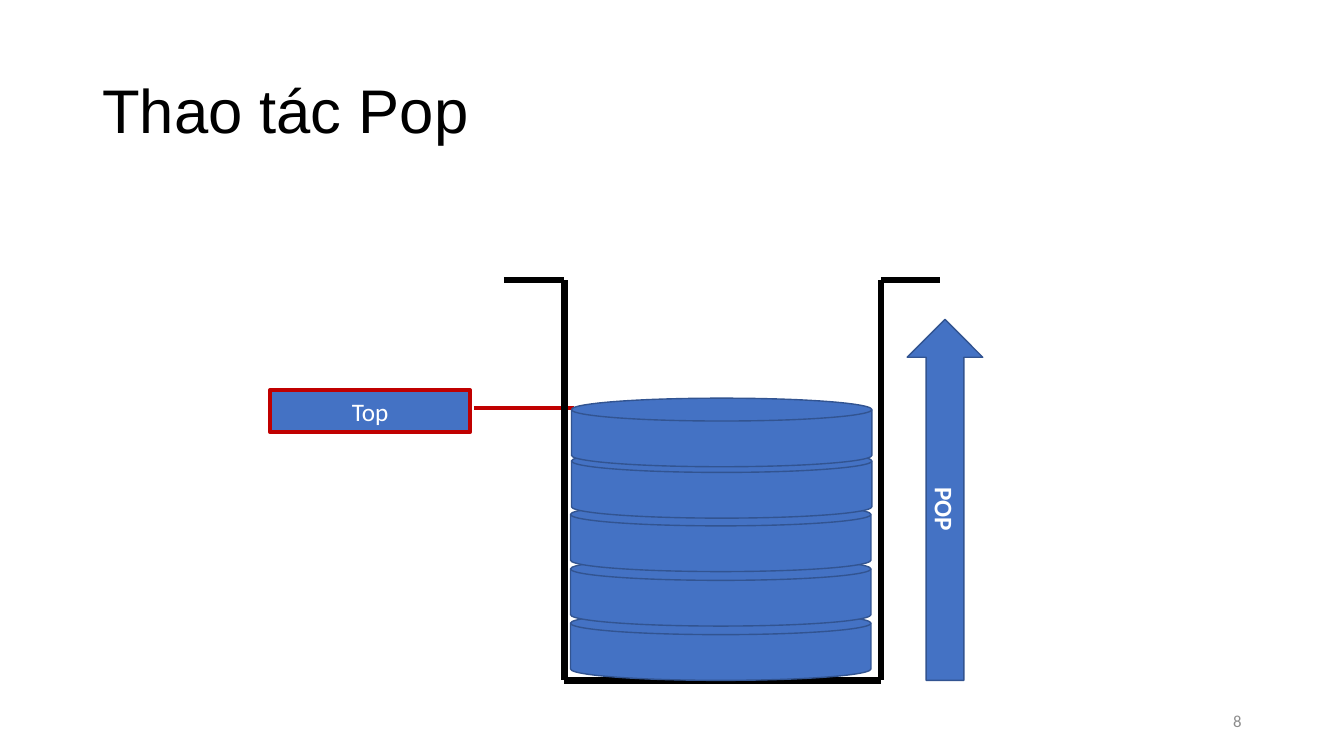
from dataclasses import dataclass

from lxml.etree import SubElement
from pptx import Presentation
from pptx.dml.color import RGBColor
from pptx.enum.shapes import MSO_CONNECTOR as Connector, MSO_SHAPE as Preset
from pptx.enum.text import MSO_ANCHOR as Anchor, PP_ALIGN as Align
from pptx.oxml.ns import qn
from pptx.shapes.autoshape import Shape
from pptx.shapes.group import GroupShape
from pptx.slide import Slide
from pptx.util import Pt


@dataclass(frozen=True)
class Theme:
    ink: str = "000000"
    blue: str = "4472C4"
    outline: str = "325491"
    red: str = "C00000"
    white: str = "FFFFFF"
    grey: str = "8C8C8C"
    heading_font: str = "Arial"
    body_font: str = "Calibri"
    heading_size: float = 44
    label_size: float = 18
    number_size: float = 12
    outline_width: float = 1
    pointer_width: float = 3
    wall_width: float = 4.5


@dataclass(frozen=True)
class Box:
    left: float
    top: float
    width: float
    height: float

    def lengths(self) -> tuple[Pt, ...]:
        return Pt(self.left), Pt(self.top), Pt(self.width), Pt(self.height)


@dataclass(frozen=True)
class Point:
    x: float
    y: float


THEME = Theme()
DISK_WIDTH, DISK_HEIGHT = 214.6, 49
DISKS = [
    Box(left, top, DISK_WIDTH, DISK_HEIGHT)
    for left, top in [
        (407.5, 437),
        (407.5, 398.2),
        (407.5, 359.3),
        (408.2, 321.1),
        (408.2, 284.4),
    ]
]
RIM, FLOOR = 200.2, 486
LEFT_WALL, RIGHT_WALL = 403.2, 629.2
CONTAINER = [
    Point(360, RIM),
    Point(LEFT_WALL, RIM),
    Point(LEFT_WALL, FLOOR),
    Point(RIGHT_WALL, FLOOR),
    Point(RIGHT_WALL, RIM),
    Point(671.8, RIM),
]


def write(shape: Shape, text: str, *, size: float, color: str,
          font: str = THEME.body_font, bold: bool = False,
          align: Align = Align.CENTER, spacing: float = 1.0) -> None:
    frame = shape.text_frame
    frame.word_wrap = True
    frame.vertical_anchor = Anchor.MIDDLE
    paragraph = frame.paragraphs[0]
    paragraph.alignment = align
    paragraph.line_spacing = spacing
    run = paragraph.add_run()
    run.text = text
    run.font.name = font
    run.font.size = Pt(size)
    run.font.bold = bold
    run.font.color.rgb = RGBColor.from_string(color)


def draw_shape(slide: Slide, preset: Preset, box: Box,
               line: str = THEME.outline,
               width: float = THEME.outline_width) -> Shape:
    shape = slide.shapes.add_shape(preset, *box.lengths())
    shape.shadow.inherit = False
    shape.fill.solid()
    shape.fill.fore_color.rgb = RGBColor.from_string(THEME.blue)
    shape.line.color.rgb = RGBColor.from_string(line)
    shape.line.width = Pt(width)
    return shape


def draw_wall(container: GroupShape, start: Point, end: Point) -> None:
    wall = container.shapes.add_connector(
        Connector.STRAIGHT, Pt(start.x), Pt(start.y), Pt(end.x), Pt(end.y))
    wall.line.color.rgb = RGBColor.from_string(THEME.ink)
    wall.line.width = Pt(THEME.wall_width)
    SubElement(wall.element.find(qn("p:spPr")), qn("a:effectLst"))


def draw_top_label(slide: Slide) -> None:
    top_label = draw_shape(slide, Preset.LINE_CALLOUT_1,
                           Box(193, 278.6, 142.6, 30.2),
                           THEME.red, THEME.pointer_width)
    for index, value in enumerate((0.43, 1.02, 0.43, 1.52)):
        top_label.adjustments[index] = value
    write(top_label, "Top", size=THEME.label_size, color=THEME.white)


def draw_pop_arrow(slide: Slide) -> None:
    pop_arrow = draw_shape(slide, Preset.DOWN_ARROW, Box(648, 228.2, 54, 257.8))
    pop_arrow.rotation = 180
    write(pop_arrow, "POP", size=THEME.label_size, color=THEME.white, bold=True)
    pop_arrow.element.find(f"{qn('p:txBody')}/{qn('a:bodyPr')}").set("vert", "vert270")


def main() -> None:
    deck = Presentation()
    deck.slide_width, deck.slide_height = Pt(960), Pt(540)
    slide = deck.slides.add_slide(deck.slide_layouts[6])

    heading = slide.shapes.add_textbox(*Box(66, 28.8, 828, 104.4).lengths())
    write(heading, "Thao tác Pop", size=THEME.heading_size, color=THEME.ink,
          font=THEME.heading_font, align=Align.LEFT, spacing=0.9)
    page_number = slide.shapes.add_textbox(*Box(678, 500.5, 216, 28.8).lengths())
    write(page_number, "8", size=THEME.number_size, color=THEME.grey,
          align=Align.RIGHT)

    draw_top_label(slide)
    container = slide.shapes.add_group_shape()
    for start, end in zip(CONTAINER, CONTAINER[1:]):
        draw_wall(container, start, end)
    for disk in DISKS:
        draw_shape(slide, Preset.FLOWCHART_MAGNETIC_DISK, disk)
    draw_pop_arrow(slide)

    deck.save("out.pptx")


if __name__ == "__main__":
    main()
